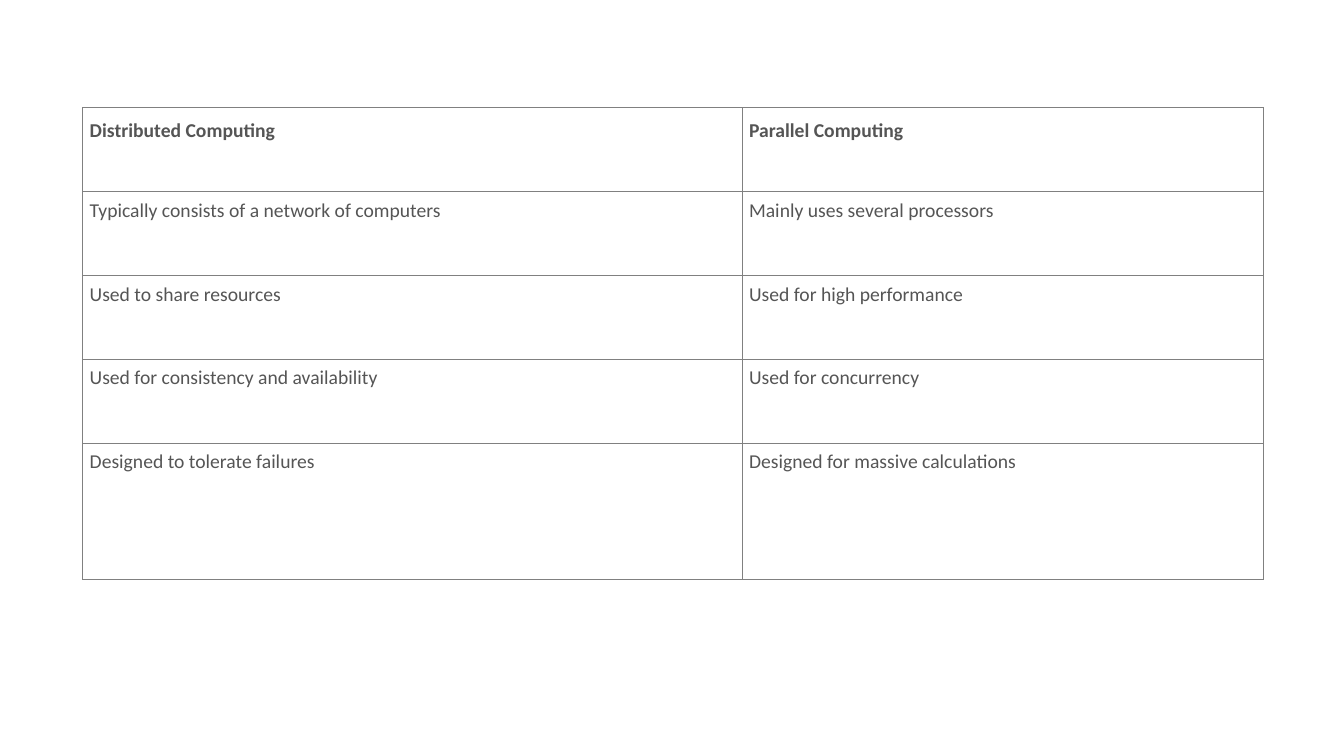
from lxml.etree import SubElement
from pptx import Presentation
from pptx.dml.color import RGBColor
from pptx.enum.text import MSO_ANCHOR
from pptx.oxml.ns import qn
from pptx.util import Inches, Pt

COLORS = {"text": "555555", "border": "808080", "background": "FFFFFF"}
FONT = "Calibri"
COLUMN_WIDTHS = [6.54, 5.17]
ROW_HEIGHTS = [0.83, 0.83, 0.83, 0.83, 1.35]
COMPARISON = [
    ("Distributed Computing", "Parallel Computing"),
    ("Typically consists of a network of computers", "Mainly uses several processors"),
    ("Used to share resources", "Used for high performance"),
    ("Used for consistency and availability", "Used for concurrency"),
    ("Designed to tolerate failures", "Designed for massive calculations"),
]


def add_borders(cell):
    properties = cell._tc.get_or_add_tcPr()
    for position, side in enumerate(("a:lnL", "a:lnR", "a:lnT", "a:lnB")):
        line = SubElement(properties, qn(side), w=str(Pt(0.75)))
        properties.insert(position, line)
        fill = SubElement(line, qn("a:solidFill"))
        SubElement(fill, qn("a:srgbClr"), val=COLORS["border"])


def fill_cell(cell, text, is_header):
    cell.fill.background()
    cell.vertical_anchor = MSO_ANCHOR.TOP
    cell.margin_left = cell.margin_right = Inches(0.07)
    cell.margin_top = cell.margin_bottom = Inches(0.07)
    add_borders(cell)
    paragraph = cell.text_frame.paragraphs[0]
    if is_header:
        paragraph.line_spacing = 1.15
    run = paragraph.add_run()
    run.text = text
    run.font.size = Pt(14)
    run.font.bold = is_header
    run.font.name = FONT
    run.font.color.rgb = RGBColor.from_string(COLORS["text"])


def add_comparison_table(slide, left, top, width, height):
    frame = slide.shapes.add_table(
        len(ROW_HEIGHTS), len(COLUMN_WIDTHS),
        Inches(left), Inches(top), Inches(width), Inches(height),
    )
    table = frame.table
    table.horz_banding = False
    for column, share in zip(table.columns, COLUMN_WIDTHS):
        column.width = Inches(width * share / sum(COLUMN_WIDTHS))
    for row, share in zip(table.rows, ROW_HEIGHTS):
        row.height = Inches(height * share / sum(ROW_HEIGHTS))
    for row_index, texts in enumerate(COMPARISON):
        for column_index, text in enumerate(texts):
            fill_cell(table.cell(row_index, column_index), text, row_index == 0)


def main():
    presentation = Presentation()
    presentation.slide_width = Inches(13.33)
    presentation.slide_height = Inches(7.5)
    slide = presentation.slides.add_slide(presentation.slide_layouts[6])
    slide.background.fill.solid()
    slide.background.fill.fore_color.rgb = RGBColor.from_string(COLORS["background"])
    add_comparison_table(slide, 0.82, 1.07, 11.71, 4.68)
    presentation.save("out.pptx")


if __name__ == "__main__":
    main()
